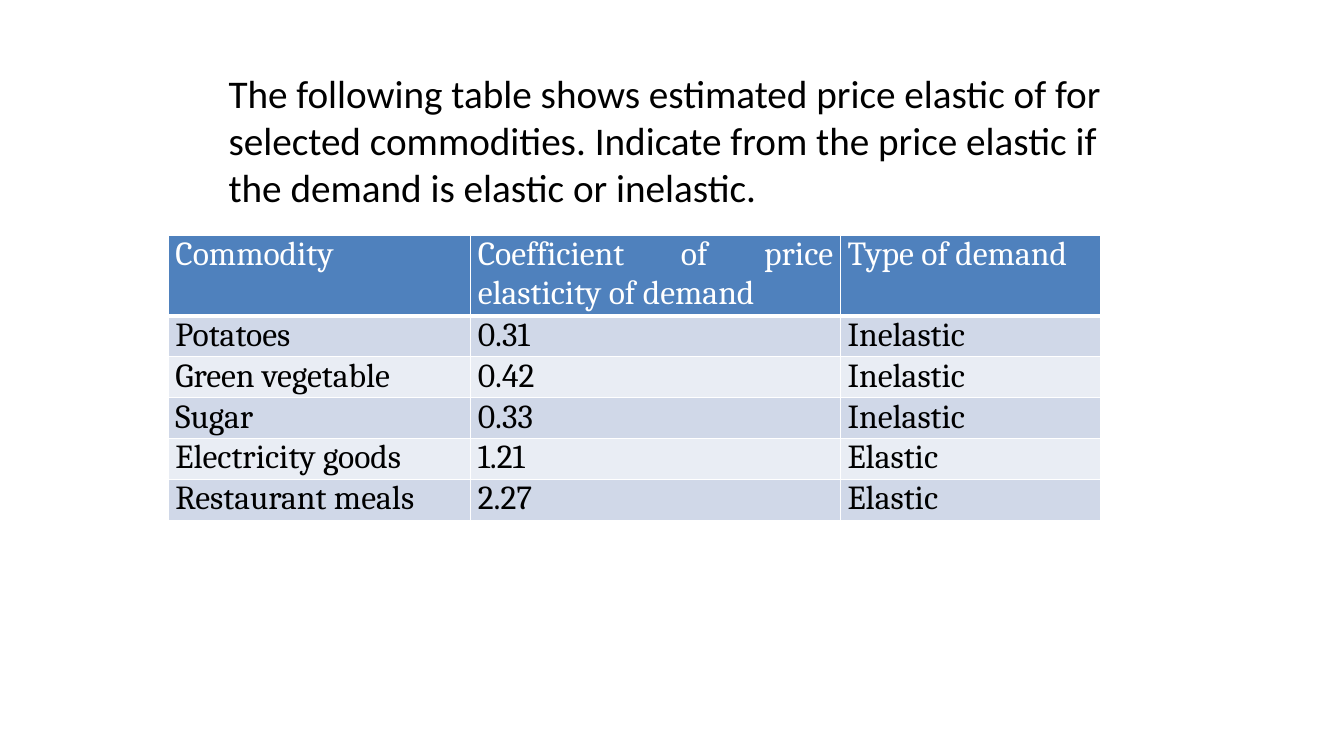
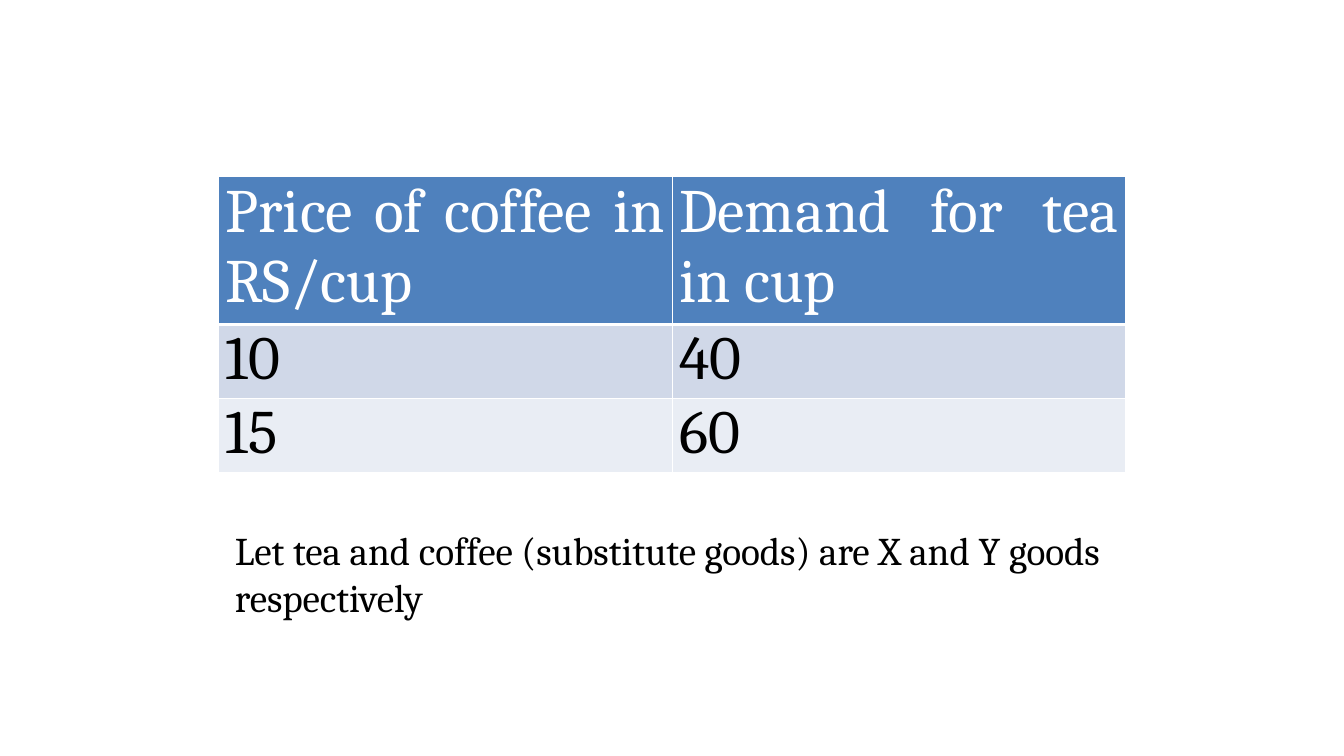
from lxml import etree
from pptx import Presentation
from pptx import util as u
from pptx.dml.color import RGBColor
from pptx.enum import shapes, text
from pptx.oxml import ns

COLORS = {"header": "4F81BD", "odd": "D0D8E8", "even": "E9EDF4",
          "white": "FFFFFF", "black": "000000"}
TABLE_FONT = "Cambria"
CELL_FORMAT = {"margin_left": u.Cm(0.18), "margin_right": u.Cm(0.18),
               "margin_top": 0, "margin_bottom": 0}
CELL_PARAGRAPH = {"alignment": text.PP_ALIGN.JUSTIFY,
                  "space_before": u.Pt(1.2), "space_after": u.Pt(1.2)}

# Lengths in cm, text sizes in points
QUESTION = ("The following table shows estimated price elastic of for selected "
            "commodities. Indicate from the price elastic if the demand is "
            "elastic or inelastic.")
QUESTION_BOX = (5.51, 0.84, 22.86, 5.38)
NOTE = "Let tea and coffee (substitute goods) are X and Y goods respectively"
NOTE_BOX = (5.92, 11.91, 23.71, 5.99)

ELASTICITY = {
    "at": (4.24, 5.93), "columns": (7.62, 9.32, 6.55),
    "header_height": 1.92, "row_height": 1.03, "size": 24,
    "rows": [
        ("Commodity", "Coefficient of price elasticity of demand", "Type of demand"),
        ("Potatoes", "0.31", "Inelastic"),
        ("Green vegetable", "0.42", "Inelastic"),
        ("Sugar", "0.33", "Inelastic"),
        ("Electricity goods", "1.21", "Elastic"),
        ("Restaurant meals", "2.27", "Elastic"),
    ],
}
SUBSTITUTES = {
    "at": (5.51, 4.45), "columns": (11.43, 11.43),
    "header_height": 3.55, "row_height": 1.79, "size": 44,
    "rows": [
        ("Price of coffee in RS/cup", "Demand for tea in cup"),
        ("10", "40"),
        ("15", "60"),
    ],
}


def color(name):
    return RGBColor.from_string(COLORS[name])


def apply(target, values):
    for name, value in values.items():
        setattr(target, name, value)


def set_font(paragraph, name, size, color_name):
    apply(paragraph.font, {"name": name, "size": u.Pt(size), "bold": False})
    paragraph.font.color.rgb = color(color_name)


def set_borders(cell, widths):
    """Draw white cell borders; widths maps a side (L, R, T, B) to points."""
    properties = cell._tc.get_or_add_tcPr()
    for index, (side, width) in enumerate(widths.items()):
        line = etree.Element(ns.qn(f"a:ln{side}"), w=str(u.Pt(width)))
        fill = etree.SubElement(line, ns.qn("a:solidFill"))
        etree.SubElement(fill, ns.qn("a:srgbClr"), val=COLORS["white"])
        properties.insert(index, line)


def add_table(slide, content):
    rows, columns = content["rows"], content["columns"]
    heights = [content["header_height"]] + [content["row_height"]] * (len(rows) - 1)
    left, top = content["at"]
    table = slide.shapes.add_table(
        len(rows), len(columns), u.Cm(left), u.Cm(top),
        u.Cm(sum(columns)), u.Cm(sum(heights))).table
    apply(table, {"first_row": False, "horz_banding": False})
    for column, width in zip(table.columns, columns):
        column.width = u.Cm(width)
    for row_index, (row, values) in enumerate(zip(table.rows, rows)):
        row.height = u.Cm(heights[row_index])
        is_header = row_index == 0
        band = "header" if is_header else "odd" if row_index % 2 else "even"
        for cell, value in zip(row.cells, values):
            apply(cell, CELL_FORMAT)
            cell.fill.solid()
            cell.fill.fore_color.rgb = color(band)
            set_borders(cell, {"L": 1, "R": 1, "T": 1, "B": 3 if is_header else 1})
            cell.text = value
            paragraph = cell.text_frame.paragraphs[0]
            apply(paragraph, CELL_PARAGRAPH)
            set_font(paragraph, TABLE_FONT, content["size"],
                     "white" if is_header else "black")


def fill_text(shape, words, font_name, margins):
    frame = shape.text_frame
    apply(frame, {"word_wrap": True, "vertical_anchor": text.MSO_ANCHOR.MIDDLE,
                  "text": words})
    apply(frame, {f"margin_{side}": u.Cm(size) for side, size in margins.items()})
    paragraph = frame.paragraphs[0]
    paragraph.alignment = text.PP_ALIGN.LEFT
    set_font(paragraph, font_name, 28, "black")


def main():
    presentation = Presentation()
    apply(presentation, {"slide_width": u.Cm(33.87), "slide_height": u.Cm(19.05)})
    blank = presentation.slide_layouts[6]

    slide = presentation.slides.add_slide(blank)
    question = slide.shapes.add_textbox(*map(u.Cm, QUESTION_BOX))
    fill_text(question, QUESTION, "Calibri", {"left": 0.25, "right": 0.25})
    add_table(slide, ELASTICITY)

    slide = presentation.slides.add_slide(blank)
    add_table(slide, SUBSTITUTES)
    note = slide.shapes.add_shape(shapes.MSO_SHAPE.RECTANGLE, *map(u.Cm, NOTE_BOX))
    note.shadow.inherit = False
    note.fill.solid()
    note.fill.fore_color.rgb = color("white")
    note.line.fill.background()
    fill_text(note, NOTE, TABLE_FONT,
              {"left": 0, "right": 0, "top": 0.05, "bottom": 0.95})

    presentation.save("out.pptx")


if __name__ == "__main__":
    main()
